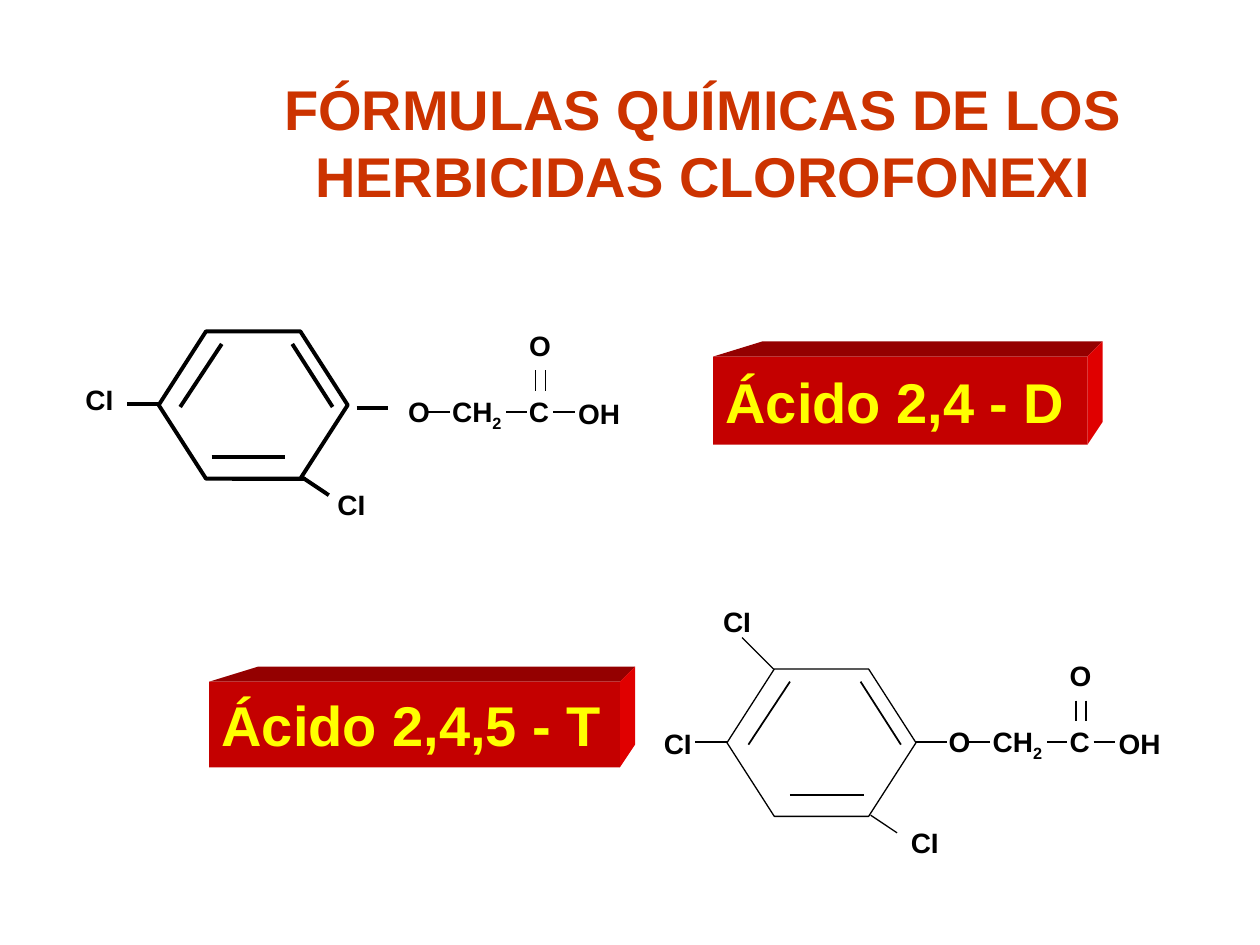
from lxml.etree import SubElement
from pptx import Presentation
from pptx.dml.color import RGBColor
from pptx.enum.shapes import MSO_CONNECTOR, MSO_SHAPE
from pptx.enum.text import MSO_ANCHOR, PP_ALIGN
from pptx.oxml.ns import qn
from pptx.util import Inches, Pt

BLACK = RGBColor(0x00, 0x00, 0x00)
WHITE = RGBColor(0xFF, 0xFF, 0xFF)
ORANGE = RGBColor(0xCC, 0x33, 0x00)
YELLOW = RGBColor(0xFF, 0xFF, 0x00)
FRONT_RED = RGBColor(0xC4, 0x00, 0x00)
TOP_RED = RGBColor(0x94, 0x00, 0x00)
SIDE_RED = RGBColor(0xE0, 0x00, 0x00)

COLS, ROWS = 100, 75
CELL = Inches(0.1)

RING_BONDS = [(1.7, 6, 5, 1), (10.6, 1, 13.8, 6)]
RING_LINKS = [(-2.5, 5.8, 0, 5.8), (11.4, 11.6, 13.5, 13)]
CHAIN_ATOMS = [("O", 0, 0, 3.8), ("CH2", 3.5, 0, 6.1), ("C", 9.6, 0, 3.6),
               ("OH", 13.5, 0.2, 5.3), ("O", 9.6, -5.2, 3.8)]
CHAIN_BONDS = [(2.6, 1.9, 4.3, 1.9), (8.8, 1.9, 10.4, 1.9), (12.5, 1.9, 14.2, 1.9),
               (11.1, -1.4, 11.1, 0.2), (11.9, -1.4, 11.9, 0.2)]


def grid(*cells):
    """Turn grid cells into slide lengths."""
    return [int(c * CELL) for c in cells]


def add_run(p, text, size, color):
    """Add one bold Arial run."""
    r = p.add_run()
    r.text = text
    r.font.name, r.font.size, r.font.bold = "Arial", Pt(size), True
    r.font.color.rgb = color
    return r


def add_title(slide, lines):
    """Add the centred title, one run per line."""
    tf = slide.shapes.add_textbox(*grid(13.3, 5, 85, 12.5)).text_frame
    tf.word_wrap = True
    tf.vertical_anchor = MSO_ANCHOR.MIDDLE
    p = tf.paragraphs[0]
    p.alignment = PP_ALIGN.CENTER
    for i, line in enumerate(lines):
        if i:
            p.add_line_break()
        add_run(p, line, 32, ORANGE)


def add_atom(shapes, symbol, x, y, width=4.2):
    """Add an atom label, with its digits as subscripts."""
    tf = shapes.add_textbox(*grid(x, y, width, 3.7)).text_frame
    tf.word_wrap = False
    letters = symbol.rstrip("0123456789")
    add_run(tf.paragraphs[0], letters, 16, BLACK)
    if letters != symbol:
        r = add_run(tf.paragraphs[0], symbol[len(letters):], 16, BLACK)
        r.font._element.set("baseline", "-25000")


def add_bonds(shapes, x, y, bonds, weight):
    """Add bond lines placed relative to x, y."""
    for x1, y1, x2, y2 in bonds:
        ends = grid(x + x1, y + y1, x + x2, y + y2)
        sp = shapes.add_connector(MSO_CONNECTOR.STRAIGHT, *ends)
        sp.line.color.rgb = BLACK
        sp.line.width = Pt(weight)
        SubElement(sp._element.spPr, qn("a:effectLst"))


def add_ring(slide, x, y, weight, inner_weight, links):
    """Add a benzene ring with its inner bonds and links."""
    shapes = slide.shapes.add_group_shape().shapes
    sp = shapes.add_shape(MSO_SHAPE.HEXAGON, *grid(x, y, 15, 11.7))
    sp.adjustments[0] = 0.321
    sp.shadow.inherit = False
    sp.fill.solid()
    sp.fill.fore_color.rgb = WHITE
    sp.line.color.rgb = BLACK
    sp.line.width = Pt(weight)
    add_bonds(shapes, x, y, RING_BONDS, inner_weight)
    add_bonds(shapes, x, y, RING_LINKS + links, weight)


def add_chain(slide, x, y):
    """Add the acetic acid side chain."""
    shapes = slide.shapes.add_group_shape().shapes
    for symbol, dx, dy, width in CHAIN_ATOMS:
        add_atom(shapes, symbol, x + dx, y + dy, width)
    add_bonds(shapes, x, y, CHAIN_BONDS, 0.75)


def paint(sp, color):
    """Give a shape a plain fill without line or shadow."""
    sp.shadow.inherit = False
    sp.fill.solid()
    sp.fill.fore_color.rgb = color
    sp.line.fill.background()


def add_face(slide, points, color):
    """Add one slanted face of a block."""
    start, *rest = [grid(*pt) for pt in points]
    fb = slide.shapes.build_freeform(*start)
    fb.add_line_segments(rest)
    paint(fb.convert_to_shape(), color)


def add_block(slide, text, x, y, width, height):
    """Add a red block with a top face, a side face and a name."""
    right, bottom, depth = x + width, y + height, 1.2
    corner = (right + depth, y - depth)
    add_face(slide, [(x, y), (x + 3.9, y - depth), corner, (right, y)], TOP_RED)
    add_face(slide, [(right, y), corner, (right + depth, bottom - 1.8),
                     (right, bottom)], SIDE_RED)
    sp = slide.shapes.add_shape(MSO_SHAPE.RECTANGLE, *grid(x, y, width, height))
    paint(sp, FRONT_RED)
    tf = sp.text_frame
    tf.word_wrap = False
    tf.vertical_anchor = MSO_ANCHOR.MIDDLE
    tf.paragraphs[0].alignment = PP_ALIGN.LEFT
    add_run(tf.paragraphs[0], text, 32, YELLOW)


def main():
    """Build the slide with both herbicide formulas."""
    prs = Presentation()
    prs.slide_width, prs.slide_height = grid(COLS, ROWS)
    slide = prs.slides.add_slide(prs.slide_layouts[6])
    add_title(slide, ["FÓRMULAS QUÍMICAS DE LOS", "HERBICIDAS CLOROFONEXI"])

    add_ring(slide, 12.6, 26.3, 2.25, 2.25,
             [(4.2, 10, 10, 10), (5.8, 11.7, 11.7, 11.7), (15.7, 6.1, 18.2, 6.1)])
    add_chain(slide, 31.4, 30.8)
    add_block(slide, "Ácido 2,4 - D", 56.6, 28.3, 29.7, 7)

    add_ring(slide, 57.7, 53.1, 0.75, 1,
             [(5, 10, 10.9, 10), (15, 5.8, 17.5, 5.8), (1.2, -2.5, 3.7, 0)])
    add_chain(slide, 74.3, 57)
    add_block(slide, "Ácido 2,4,5 - T", 16.6, 54.1, 32.6, 6.8)

    for x, y in [(5.8, 29.9), (25.8, 38.2), (51.7, 57.2), (56.4, 47.5), (71.3, 65)]:
        add_atom(slide.shapes, "CI", x, y)
    prs.save("out.pptx")


main()
